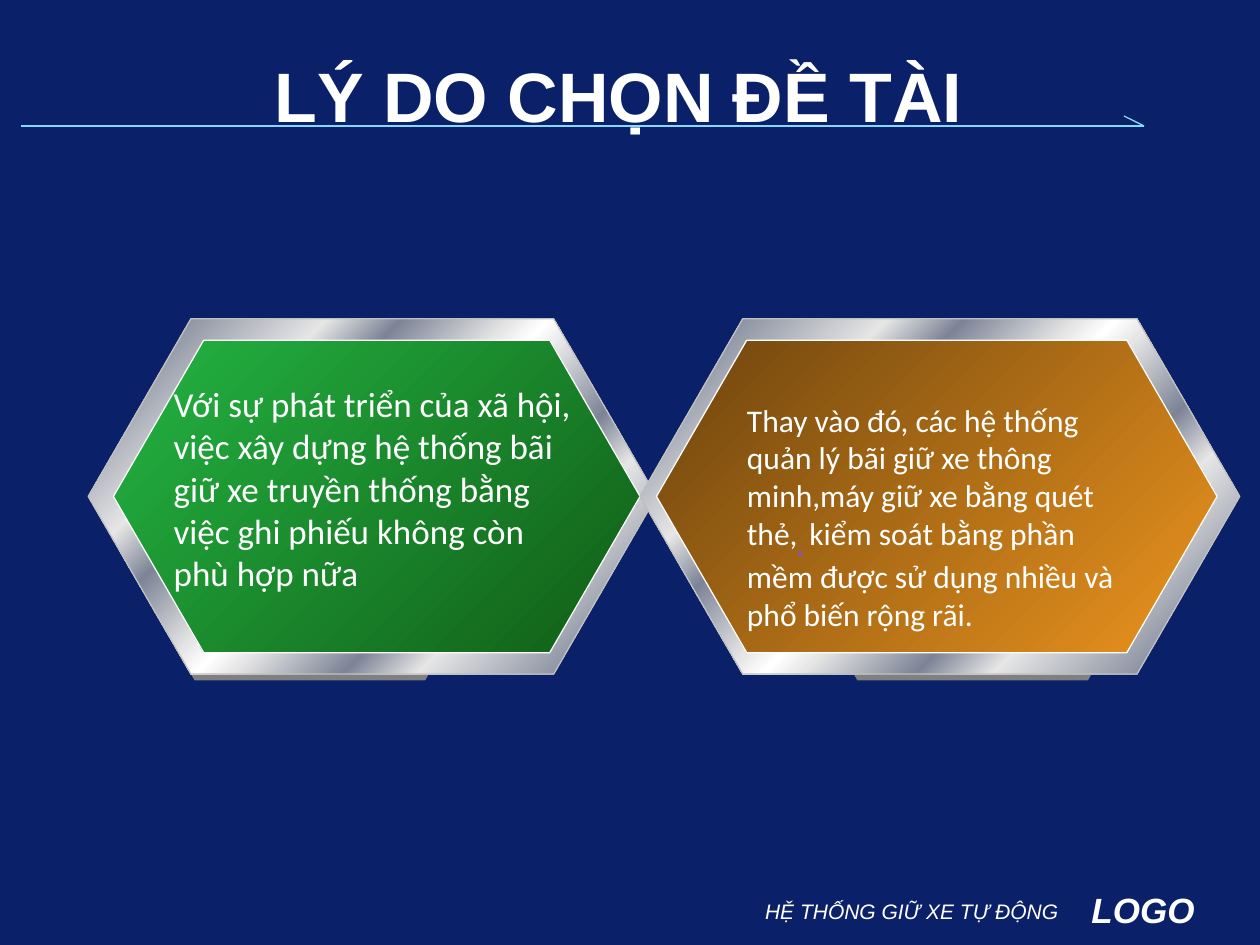
from lxml import etree
from pptx import Presentation
from pptx import util as u
from pptx.dml import color
from pptx.enum import shapes, text
from pptx.oxml import ns

WIDE, HIGH = 10, 7.5
WHITE, SKY = "FFFFFF", "85D9F7"
STEEL = [(0, "E6E6E6"), (8, "7D8496"), (26, "E6E6E6"), (34, "7D8496"),
         (46, "E6E6E6"), (50, "FFFFFF"), (54, "E6E6E6"), (66, "7D8496"),
         (74, "E6E6E6"), (92, "7D8496"), (100, "E6E6E6")]
LEFT = "Với sự phát triển của xã hội, việc xây dựng hệ thống bãi giữ xe truyền thống bằng việc ghi phiếu không còn phù hợp nữa"
RIGHT = ["Thay vào đó, các\u00a0hệ thống quản lý bãi giữ xe thông minh,máy giữ xe bằng quét thẻ,",
         ",",
         "\u00a0kiểm soát bằng phần mềm được sử dụng nhiều và phổ biến rộng rãi."]


def rgb(code):
    """Turn a hex string into a colour."""
    return color.RGBColor.from_string(code)


def pos(x, y):
    """Turn percentages of the slide's width and height into lengths."""
    return u.Inches(x * WIDE / 100), u.Inches(y * HIGH / 100)


def box(x, y, w, h):
    """Give left, top, width and height from percentages."""
    return pos(x, y) + pos(w, h)


def run(par, words, tint=WHITE, **form):
    """Add a run with its font values."""
    piece = par.add_run()
    piece.text = words
    for key, val in form.items():
        setattr(piece.font, key, val)
    piece.font.color.rgb = rgb(tint)
    return piece


def label(slide, area, align=text.PP_ALIGN.LEFT):
    """Add a wrapping text box and return its paragraph."""
    frame = slide.shapes.add_textbox(*box(*area)).text_frame
    frame.word_wrap = True
    par = frame.paragraphs[0]
    par.alignment = align
    return par


def title(slide, words):
    """Place and fill the title."""
    head = slide.shapes.title
    spots = zip(("left", "top", "width", "height"), box(9.1, 6.67, 80, 6.67))
    for key, val in spots:
        setattr(head, key, val)
    frame = head.text_frame
    frame.auto_size = text.MSO_AUTO_SIZE.NONE
    frame.vertical_anchor = text.MSO_ANCHOR.MIDDLE
    par = frame.paragraphs[0]
    par.alignment = text.PP_ALIGN.CENTER
    run(par, words, name="Arial", size=u.Pt(40), bold=True)


def line(slide, start, end):
    """Draw a thin line without a shadow."""
    rule = slide.shapes.add_connector(
        shapes.MSO_CONNECTOR.STRAIGHT, *pos(*start), *pos(*end))
    rule.line.color.rgb = rgb(SKY)
    rule.line.width = u.Pt(0.75)
    etree.SubElement(rule._element.spPr, ns.qn("a:effectLst"))


def blend(fill, stops):
    """Fill with a diagonal gradient of (percent, colour) stops."""
    fill.gradient()
    fill.gradient_angle = 315
    group = fill._xPr.find(ns.qn("a:gradFill")).find(ns.qn("a:gsLst"))
    for old in list(group):
        group.remove(old)
    for part, tint in stops:
        stop = etree.SubElement(group, ns.qn("a:gs"), pos=str(part * 1000))
        etree.SubElement(stop, ns.qn("a:srgbClr"), val=tint)


def hexagon(slide, area, stops, edge=None):
    """Add a hexagon with a plain or gradient fill."""
    shape = slide.shapes.add_shape(shapes.MSO_SHAPE.HEXAGON, *box(*area))
    shape.shadow.inherit = False
    shape.adjustments[0] = 0.289
    shape.adjustments[1] = 1.155
    if len(stops) == 1:
        shape.fill.solid()
        shape.fill.fore_color.rgb = rgb(stops[0][1])
    else:
        blend(shape.fill, stops)
    if edge:
        shape.line.color.rgb = rgb(edge)
        shape.line.width = u.Pt(0.75)
    else:
        shape.line.fill.background()


def badge(slide, shade, frame, face, tints):
    """Stack shade, steel frame and coloured face; each is (left, width)."""
    layers = [(shade, 34.4, 37.6, [(0, "808080")], None),
              (frame, 33.73, 37.6, STEEL, "C0C0C0"),
              (face, 36, 33.07, list(zip((0, 100), tints)), WHITE)]
    for (x, w), y, h, stops, edge in layers:
        hexagon(slide, (x, y, w, h), stops, edge)


def main():
    """Build the slide and save it."""
    deck = Presentation()
    deck.slide_width, deck.slide_height = pos(100, 100)
    slide = deck.slides.add_slide(deck.slide_layouts[5])
    back = slide.background.fill
    back.solid()
    back.fore_color.rgb = rgb("0A2068")

    tip = (90.8, 13.33)
    line(slide, (1.7, 13.33), tip)
    line(slide, (89.2, 12.27), tip)
    title(slide, "LÝ DO CHỌN ĐỀ TÀI")

    badge(slide, (7.3, 34.6), (7, 45.1), (9, 41.8), ("24B443", "115D16"))
    badge(slide, (59.9, 34.6), (50.8, 47.6), (52.1, 44.5), ("6D440E", "EC941E"))

    run(label(slide, (12.8, 39.87, 34.2, 23.73)), LEFT,
        name="Calibri", size=u.Pt(20))
    par = label(slide, (58.3, 41.73, 32.5, 25.6))
    body = {"name": "Calibri", "size": u.Pt(18)}
    run(par, RIGHT[0], **body)
    mark = run(par, RIGHT[1], "8A52C8", bold=True, underline=True, **body)
    mark.font._element.set("baseline", "-25000")
    run(par, RIGHT[2], **body)

    foot = {"name": "Arial", "italic": True}
    end = text.PP_ALIGN.RIGHT
    run(label(slide, (50.1, 94.4, 34.9, 3.33), end),
        "HỆ THỐNG GIỮ XE TỰ ĐỘNG", size=u.Pt(12), **foot)
    run(label(slide, (80.7, 93.33, 15.1, 5.73), end),
        "LOGO", size=u.Pt(20), bold=True, **foot)
    deck.save("out.pptx")


main()
